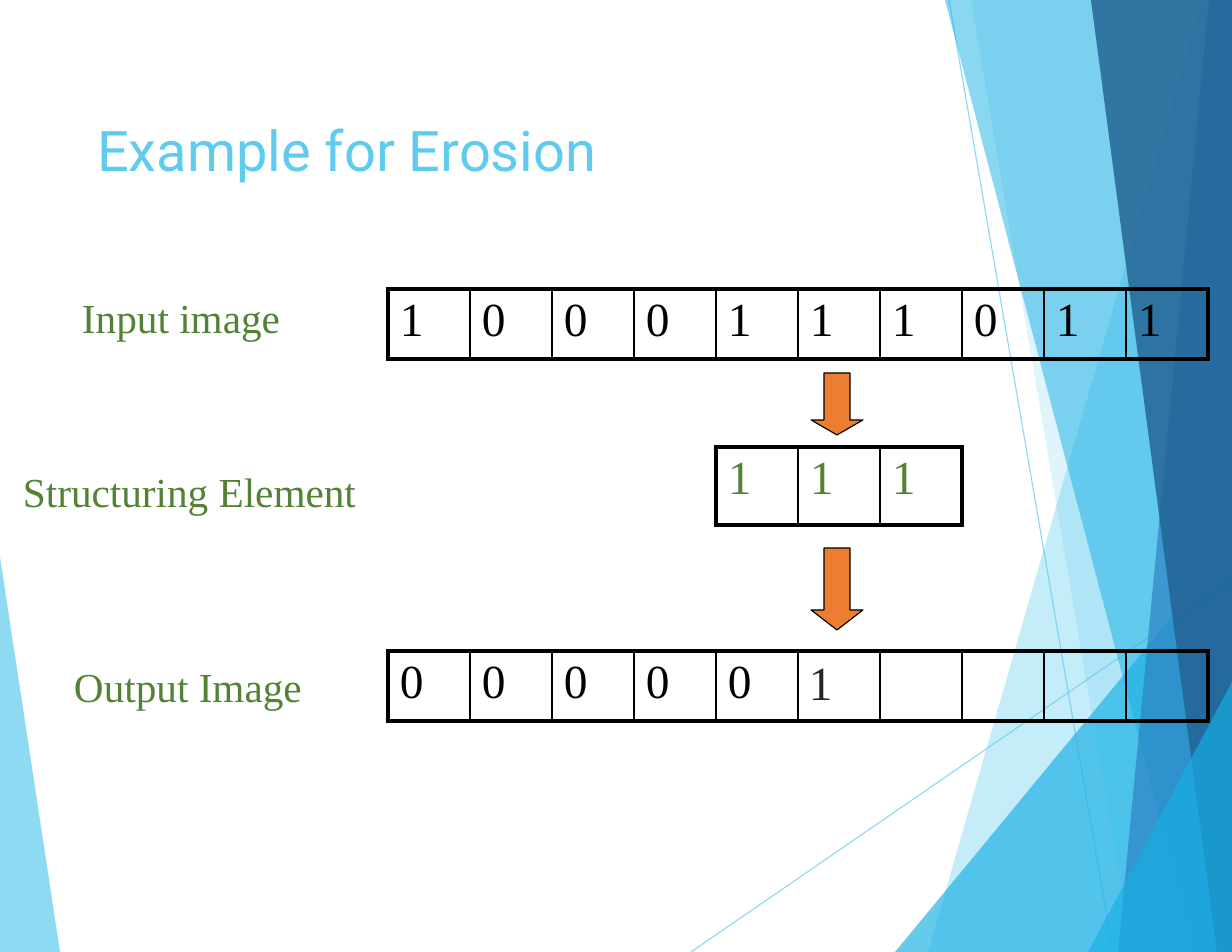
import pptx
import pptx.util
from lxml import etree
from pptx.dml.color import RGBColor
from pptx.enum.shapes import MSO_CONNECTOR, MSO_SHAPE
from pptx.enum.text import MSO_ANCHOR, PP_ALIGN
from pptx.oxml.ns import qn

PX = 914400 // 112
SLIDE_W, SLIDE_H = 1232, 952
COLORS = {
    "sky": "5FCBEF", "cyan": "17B0E4", "blue": "2E83C3", "navy": "226292",
    "green": "548235", "orange": "ED7D31", "black": "000000", "gray": "262626",
}
SERIF, SANS = "Times New Roman", "Roboto"

TITLE = "Example for Erosion"
LABELS = [  # text, left, top, width
    ("Input image", 82, 292, 230),
    ("Structuring Element", 23, 466, 340),
    ("Output Image", 74, 661, 240),
]
GRID_LEFT, CELL_W = 388, 82
ROWS = [  # values, first column, top, height, color
    ("1000111011", 0, 289, 70, "black"),
    ("111", 4, 447, 78, "green"),
    ("000001    ", 0, 651, 70, "black"),
]
OUTPUT_ROW, CURRENT_COLUMN = 2, 5
ARROWS = [  # top, height, head height
    (373, 62, 15),
    (548, 82, 20),
]
ARROW_W = 52

# Background facets: points, color, opacity in percent
LEFT_FACET = ([(0, 557), (60, 952), (0, 952)], "sky", 70)
RAYS = [((691, 952), (1232, 580)), ((949, 0), (1113, 952))]
RIGHT_FACETS = [
    ([(1202, 0), (928, 952), (1232, 952), (1232, 0)], "sky", 36),
    ([(971, 0), (1132, 952), (1232, 952), (1232, 0)], "sky", 20),
    ([(895, 952), (1232, 544), (1232, 952)], "cyan", 66),
    ([(945, 0), (1195, 952), (1232, 952), (1232, 0)], "cyan", 50),
    ([(1209, 0), (1118, 952), (1232, 952), (1232, 0)], "blue", 70),
    ([(1091, 0), (1217, 952), (1232, 952), (1232, 0)], "navy", 82),
    ([(1088, 952), (1232, 682), (1232, 952)], "cyan", 66),
]


def px(*lengths):
    return [round(length * PX) for length in lengths]


def rgb(name):
    return RGBColor.from_string(COLORS[name])


def set_opacity(drawn, percent):
    for color in drawn._element.spPr.iter(qn("a:srgbClr")):
        etree.SubElement(color, qn("a:alpha"), val=str(percent * 1000))


def style_text(frame, size, font, color):
    for run in frame.paragraphs[0].runs:
        run.font.size = pptx.util.Pt(size)
        run.font.name = font
        run.font.color.rgb = rgb(color)


def set_insets(holder, left=0, top=0):
    holder.margin_left, holder.margin_top = px(left, top)
    holder.margin_right = holder.margin_bottom = 0
    holder.vertical_anchor = MSO_ANCHOR.TOP


def add_facet(slide, points, color, opacity):
    builder = slide.shapes.build_freeform(*px(*points[0]), scale=1.0)
    builder.add_line_segments([px(*point) for point in points[1:]], close=True)
    facet = builder.convert_to_shape()
    facet.shadow.inherit = False
    facet.fill.solid()
    facet.fill.fore_color.rgb = rgb(color)
    facet.line.fill.background()
    set_opacity(facet, opacity)


def add_ray(slide, start, end):
    ray = slide.shapes.add_connector(MSO_CONNECTOR.STRAIGHT, *px(*start, *end))
    ray.line.color.rgb = rgb("sky")
    ray.line.width = pptx.util.Pt(0.75)
    set_opacity(ray, 70)
    etree.SubElement(ray._element.spPr, qn("a:effectLst"))


def set_borders(cell, widths):
    """Draw the left, right, top and bottom borders, widths in points."""
    properties = cell._tc.get_or_add_tcPr()
    for position, (side, width) in enumerate(zip("LRTB", widths)):
        border = etree.Element(qn("a:ln" + side), w=str(pptx.util.Pt(width)))
        fill = etree.SubElement(border, qn("a:solidFill"))
        etree.SubElement(fill, qn("a:srgbClr"), val=COLORS["black"])
        properties.insert(position, border)


def add_pixel_row(slide, values, first_column, top, height, color):
    count = len(values)
    left = GRID_LEFT + first_column * CELL_W
    table = slide.shapes.add_table(
        1, count, *px(left, top, count * CELL_W, height)).table
    table.first_row = table.horz_banding = False
    for column, value in enumerate(values):
        table.columns[column].width = px(CELL_W)[0]
        cell = table.cell(0, column)
        cell.fill.background()
        set_insets(cell, left=12, top=5)
        cell.text_frame.text = value.strip()
        style_text(cell.text_frame, 30.5, SERIF, color)
        set_borders(cell, (3 if column == 0 else 1.5,
                           3 if column == count - 1 else 1.5, 3, 3))
    return table


def add_arrow(slide, top, height, head):
    center = GRID_LEFT + (CURRENT_COLUMN + 0.5) * CELL_W - 2
    arrow = slide.shapes.add_shape(
        MSO_SHAPE.DOWN_ARROW, *px(center - ARROW_W / 2, top, ARROW_W, height))
    arrow.adjustments[0] = 0.5
    arrow.adjustments[1] = head / ARROW_W
    arrow.shadow.inherit = False
    arrow.fill.solid()
    arrow.fill.fore_color.rgb = rgb("orange")
    arrow.line.color.rgb = rgb("black")
    arrow.line.width = pptx.util.Pt(0.75)


def add_label(slide, text, left, top, width):
    label = slide.shapes.add_textbox(*px(left, top, width, 53))
    label.text_frame.word_wrap = True
    set_insets(label.text_frame)
    label.text_frame.text = text
    style_text(label.text_frame, 26.5, SERIF, "green")


def main():
    deck = pptx.Presentation()
    deck.slide_width, deck.slide_height = px(SLIDE_W, SLIDE_H)
    slide = deck.slides.add_slide(deck.slide_layouts[5])

    add_facet(slide, *LEFT_FACET)
    for start, end in RAYS:
        add_ray(slide, start, end)
    for facet in RIGHT_FACETS:
        add_facet(slide, *facet)

    title = slide.shapes.title
    title.left, title.top, title.width, title.height = px(96, 114, 642, 70)
    set_insets(title.text_frame, left=1, top=2)
    title.text_frame.text = TITLE
    title.text_frame.paragraphs[0].alignment = PP_ALIGN.LEFT
    style_text(title.text_frame, 36, SANS, "sky")

    for label in LABELS:
        add_label(slide, *label)
    tables = [add_pixel_row(slide, *row) for row in ROWS]
    current = tables[OUTPUT_ROW].cell(0, CURRENT_COLUMN)
    set_insets(current, left=11, top=7)
    style_text(current.text_frame, 30.5, SERIF, "gray")
    for arrow in ARROWS:
        add_arrow(slide, *arrow)

    deck.save("out.pptx")


if __name__ == "__main__":
    main()
